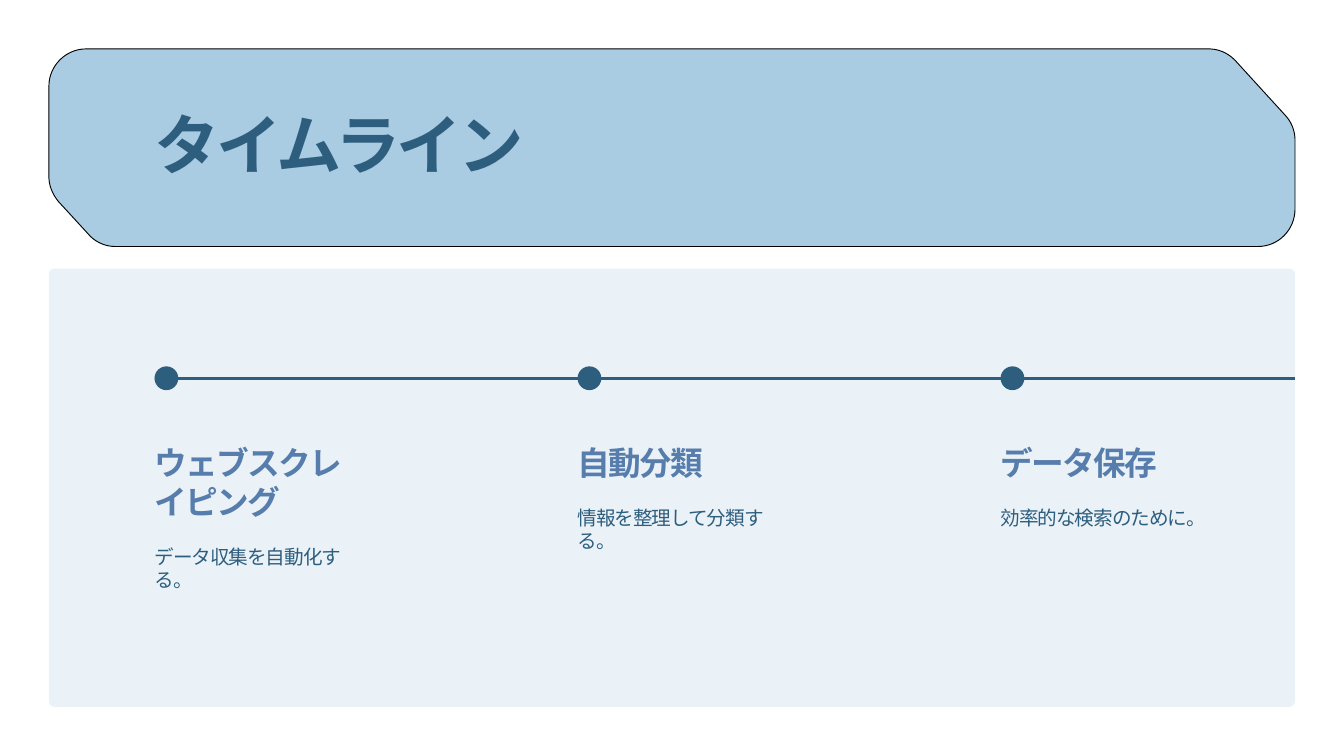
import pptx
import pptx.dml.color
import pptx.enum.shapes
import pptx.enum.text
import pptx.oxml.ns
import pptx.util
from lxml import etree

Cm = pptx.util.Cm
Pt = pptx.util.Pt
RGBColor = pptx.dml.color.RGBColor
Shapes = pptx.enum.shapes.MSO_SHAPE

NAVY = RGBColor(0x2E, 0x5E, 0x7E)
BLUE = RGBColor(0x57, 0x7D, 0xAC)
SKY = RGBColor(0xA9, 0xCC, 0xE3)
PALE = RGBColor(0xEA, 0xF2, 0xF8)
BLACK = RGBColor(0, 0, 0)

LEFT = 1.85
RIGHT = 48.95
COLUMN_LEFT = 5.84
COLUMN_STEP = 15.99
COLUMN_WIDTH = 7.14
HEADING_TOP = 16.74
HEADING_LINE = 1.47
HEADING_GAP = 0.91
DOT_SIZE = 0.9
AXIS_Y = 14.3

BANNER_CORNERS = [
    [(3.25, 1.85), (2.49, 1.85), (1.85, 2.49), (1.85, 3.25)],
    [(1.85, 6.68), (1.85, 7.01), (1.98, 7.34), (2.21, 7.62)],
    [(3.33, 8.84), (3.58, 9.14), (3.96, 9.32), (4.37, 9.32)],
    [(47.55, 9.32), (48.32, 9.32), (48.95, 8.69), (48.95, 7.9)],
    [(48.95, 5.31), (48.95, 4.95), (48.82, 4.62), (48.59, 4.37)],
    [(46.71, 2.31), (46.43, 2.01), (46.08, 1.85), (45.67, 1.85)],
]

STEPS = [
    ("ウェブスクレイピング", 2, "データ収集を自動化する。"),
    ("自動分類", 1, "情報を整理して分類する。"),
    ("データ保存", 1, "効率的な検索のために。"),
]


def curve_points(corner, pieces=16):
    for index in range(pieces + 1):
        t = index / pieces
        weights = ((1 - t) ** 3, 3 * t * (1 - t) ** 2, 3 * t * t * (1 - t), t ** 3)
        yield tuple(
            Cm(sum(weight * point[axis] for weight, point in zip(weights, corner)))
            for axis in (0, 1)
        )


class SlideBuilder:
    font = "Noto Sans"

    def __init__(self, slide):
        self.slide = slide

    def paint(self, shape, fill, line=None):
        shape.shadow.inherit = False
        shape.fill.solid()
        shape.fill.fore_color.rgb = fill
        if line is None:
            shape.line.fill.background()
        else:
            shape.line.color.rgb = line
            shape.line.width = Pt(1)

    def outline(self, corners, fill, line):
        points = [point for corner in corners for point in curve_points(corner)]
        builder = self.slide.shapes.build_freeform(*points[0], scale=1.0)
        builder.add_line_segments(points[1:], close=True)
        self.paint(builder.convert_to_shape(), fill, line)

    def panel(self, left, top, width, height, radius, fill):
        shape = self.slide.shapes.add_shape(
            Shapes.ROUNDED_RECTANGLE, Cm(left), Cm(top), Cm(width), Cm(height))
        shape.adjustments[0] = radius / min(width, height)
        self.paint(shape, fill)

    def dot(self, left, top, size, fill):
        shape = self.slide.shapes.add_shape(
            Shapes.OVAL, Cm(left), Cm(top), Cm(size), Cm(size))
        self.paint(shape, fill)

    def rule(self, start, end, y, color):
        line = self.slide.shapes.add_connector(
            pptx.enum.shapes.MSO_CONNECTOR.STRAIGHT, Cm(start), Cm(y), Cm(end), Cm(y))
        line.line.color.rgb = color
        line.line.width = Pt(3)
        etree.SubElement(line.element.spPr, pptx.oxml.ns.qn("a:effectLst"))

    def set_text(self, shape, text, size, leading, spacing, color, bold):
        frame = shape.text_frame
        frame.word_wrap = True
        frame.auto_size = pptx.enum.text.MSO_AUTO_SIZE.SHAPE_TO_FIT_TEXT
        frame.vertical_anchor = pptx.enum.text.MSO_ANCHOR.TOP
        frame.margin_left = frame.margin_right = 0
        frame.margin_top = frame.margin_bottom = 0
        paragraph = frame.paragraphs[0]
        paragraph.alignment = pptx.enum.text.PP_ALIGN.LEFT
        paragraph.line_spacing = Pt(leading)
        paragraph.space_before = Pt(0)
        run = paragraph.add_run()
        run.text = text
        run.font.name = self.font
        run.font.size = Pt(size)
        run.font.bold = bold
        run.font.color.rgb = color
        properties = next(shape.element.iter(pptx.oxml.ns.qn("a:rPr")))
        properties.set("spc", str(round(spacing * 100)))
        east_asian = etree.SubElement(properties, pptx.oxml.ns.qn("a:ea"))
        east_asian.set("typeface", self.font)

    def title(self, text, left, top, width, height):
        shape = self.slide.shapes.title
        shape.left, shape.top = Cm(left), Cm(top)
        shape.width, shape.height = Cm(width), Cm(height)
        shape.element.getparent().append(shape.element)
        self.set_text(shape, text, 70, 66.5, -3.8, NAVY, True)

    def text(self, text, left, top, width, height, **style):
        shape = self.slide.shapes.add_textbox(Cm(left), Cm(top), Cm(width), Cm(height))
        self.set_text(shape, text, **style)


def main():
    presentation = pptx.Presentation()
    presentation.slide_width = Cm(50.8)
    presentation.slide_height = Cm(28.58)
    slide = presentation.slides.add_slide(presentation.slide_layouts[5])
    builder = SlideBuilder(slide)

    builder.outline(BANNER_CORNERS, SKY, BLACK)
    builder.panel(LEFT, 10.16, RIGHT - LEFT, 16.56, 0.2, PALE)
    builder.title("タイムライン", COLUMN_LEFT, 4.57, 39.12, 2.49)
    builder.rule(COLUMN_LEFT + DOT_SIZE / 2, RIGHT, AXIS_Y, NAVY)

    for index, (heading, lines, description) in enumerate(STEPS):
        left = COLUMN_LEFT + index * COLUMN_STEP
        heading_height = lines * HEADING_LINE
        builder.dot(left, AXIS_Y - DOT_SIZE / 2, DOT_SIZE, NAVY)
        builder.text(heading, left, HEADING_TOP, COLUMN_WIDTH, heading_height,
                     size=35, leading=42, spacing=-1.9, color=BLUE, bold=True)
        builder.text(description, left, HEADING_TOP + heading_height + HEADING_GAP,
                     COLUMN_WIDTH, 1.78,
                     size=21, leading=25.2, spacing=-1.1, color=NAVY, bold=False)

    presentation.save("out.pptx")


if __name__ == "__main__":
    main()
